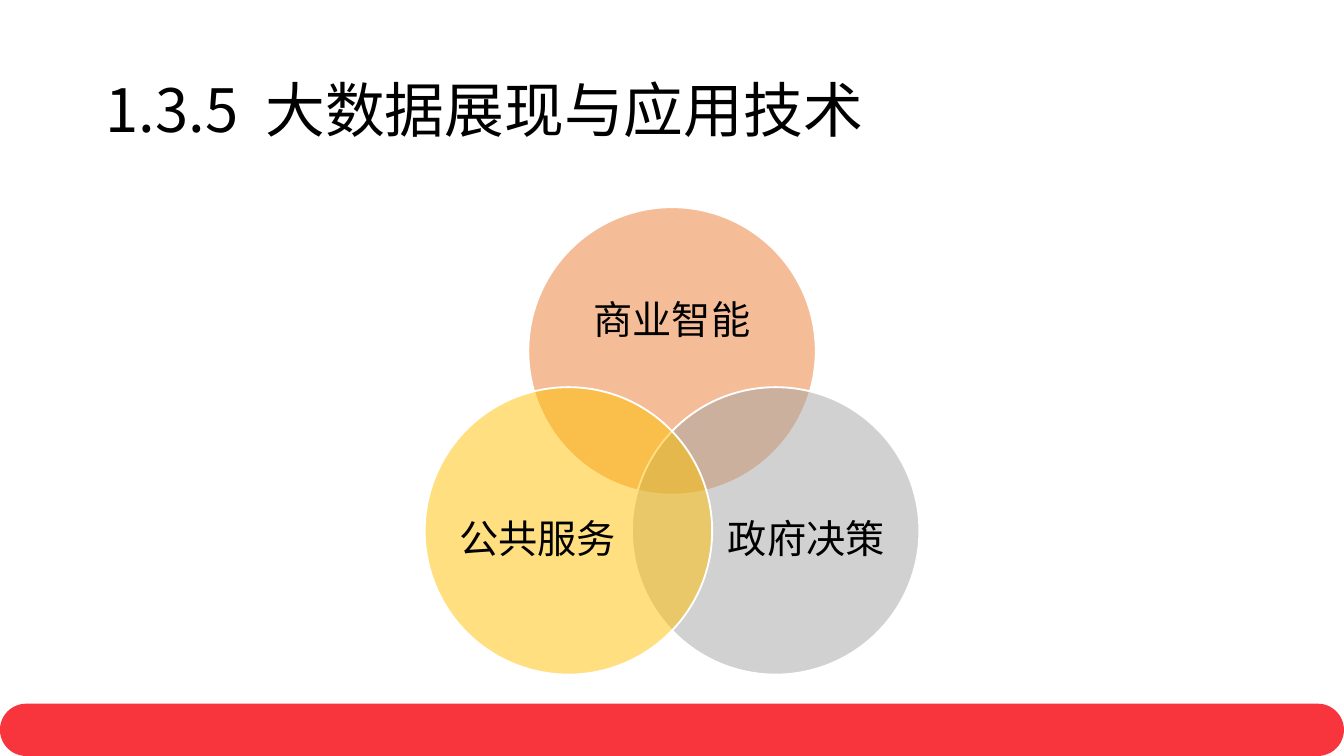
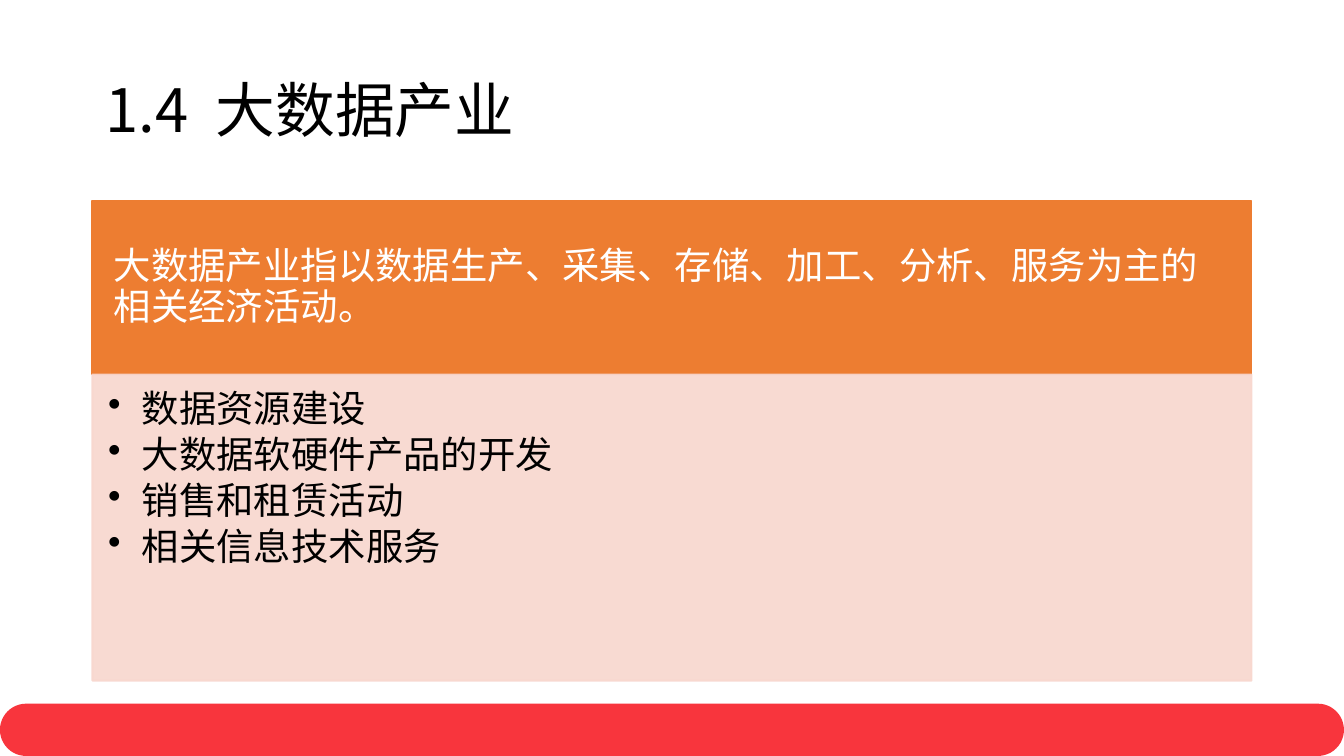
from dataclasses import dataclass

from lxml.etree import SubElement
from pptx import Presentation
from pptx.dml.color import RGBColor
from pptx.enum.shapes import MSO_SHAPE as Preset
from pptx.enum.text import MSO_ANCHOR as Anchor, MSO_AUTO_SIZE as AutoSize, PP_ALIGN as Align
from pptx.oxml.ns import qn
from pptx.util import Pt

# Shared look
FONT = "Noto Sans CJK SC"
BLACK = RGBColor(0x00, 0x00, 0x00)
WHITE = RGBColor(0xFF, 0xFF, 0xFF)
RED = RGBColor(0xF8, 0x35, 0x3D)
ORANGE = RGBColor(0xED, 0x7D, 0x31)
GREY = RGBColor(0xA5, 0xA5, 0xA5)
GOLD = RGBColor(0xFF, 0xC0, 0x00)
PINK = RGBColor(0xF8, 0xD7, 0xCE)

SLIDE_W, SLIDE_H = 720, 405
BAND_H = 28
MARGIN = 49.5
CONTENT_W = SLIDE_W - 2 * MARGIN


@dataclass(frozen=True)
class Box:
    left: float
    top: float
    width: float
    height: float

    def lengths(self) -> tuple:
        return Pt(self.left), Pt(self.top), Pt(self.width), Pt(self.height)


@dataclass(frozen=True)
class TextStyle:
    size: float
    color: RGBColor = BLACK
    align: Align = Align.LEFT
    anchor: Anchor = Anchor.MIDDLE
    space_after: float = 0
    insets: tuple = (0, 0, 0, 0)  # left, top, right, bottom
    bullet_indent: float = 0


@dataclass(frozen=True)
class Circle:
    topic: str
    center_x: float
    center_y: float
    color: RGBColor
    label: Box


TITLE_BOX = Box(MARGIN, 21.5, CONTENT_W, 78.5)
TITLE_STYLE = TextStyle(32, insets=(7.2, 3.6, 7.2, 3.6))
BAND_BOX = Box(0, SLIDE_H - BAND_H, SLIDE_W, BAND_H)


def set_opacity(color_format_parent, percent: int) -> None:
    for color in color_format_parent.iter(qn("a:srgbClr")):
        SubElement(color, qn("a:alpha"), val=str(percent * 1000))


def add_panel(slide, preset: Preset, box: Box, fill: RGBColor,
              line: RGBColor | None = None, opacity: int = 100,
              line_opacity: int = 100):
    panel = slide.shapes.add_shape(preset, *box.lengths())
    panel.shadow.inherit = False
    panel.fill.solid()
    panel.fill.fore_color.rgb = fill
    if opacity < 100:
        set_opacity(panel._element.spPr.find(qn("a:solidFill")), opacity)
    if line is None:
        panel.line.fill.background()
    else:
        panel.line.color.rgb = line
        panel.line.width = Pt(1)
        if line_opacity < 100:
            set_opacity(panel._element.spPr.find(qn("a:ln")), line_opacity)
    return panel


def add_bullet(paragraph, indent: float) -> None:
    props = paragraph._p.get_or_add_pPr()
    props.set("marL", str(Pt(indent)))
    props.set("indent", str(-Pt(indent)))
    SubElement(props, qn("a:buChar"), char="•")


def write_text(frame, lines: list[str], style: TextStyle) -> None:
    frame.word_wrap = True
    frame.auto_size = AutoSize.NONE
    frame.vertical_anchor = style.anchor
    (frame.margin_left, frame.margin_top,
     frame.margin_right, frame.margin_bottom) = map(Pt, style.insets)
    for index, line in enumerate(lines):
        paragraph = frame.add_paragraph() if index else frame.paragraphs[0]
        paragraph.alignment = style.align
        paragraph.line_spacing = 0.9
        paragraph.space_before = Pt(0)
        paragraph.space_after = Pt(style.space_after)
        if style.bullet_indent:
            add_bullet(paragraph, style.bullet_indent)
        run = paragraph.add_run()
        run.text = line
        run.font.size = Pt(style.size)
        run.font.color.rgb = style.color
        run.font.name = FONT
        SubElement(run._r.get_or_add_rPr(), qn("a:ea"), typeface=FONT)


def add_text(slide, box: Box, lines: list[str], style: TextStyle) -> None:
    write_text(slide.shapes.add_textbox(*box.lengths()).text_frame, lines, style)


def add_titled_slide(deck, heading: str):
    slide = deck.slides.add_slide(deck.slide_layouts.get_by_name("Title Only"))
    title = slide.shapes.title
    title.left, title.top, title.width, title.height = TITLE_BOX.lengths()
    write_text(title.text_frame, [heading], TITLE_STYLE)
    band = add_panel(slide, Preset.ROUNDED_RECTANGLE, BAND_BOX, RED)
    band.adjustments[0] = 0.5
    return slide


def build_applications(deck) -> None:
    slide = add_titled_slide(deck, "1.3.5  大数据展现与应用技术")
    label_style = TextStyle(21, align=Align.CENTER, space_after=7)

    # Three overlapping circles around the slide's vertical axis
    diameter, axis, spread = 154, SLIDE_W / 2, 55.5
    upper_y, lower_y = 188, 284.4
    label_w, label_h, label_top, label_shift = 92, 85, 247, 72
    circles = [
        Circle("商业智能", axis, upper_y, ORANGE, Box(axis - 56.5, 138, 113, 69)),
        Circle("政府决策", axis + spread, lower_y, GREY,
               Box(axis + label_shift - label_w / 2, label_top, label_w, label_h)),
        Circle("公共服务", axis - spread, lower_y, GOLD,
               Box(axis - label_shift - label_w / 2, label_top, label_w, label_h)),
    ]
    for circle in circles:
        outline = Box(circle.center_x - diameter / 2, circle.center_y - diameter / 2,
                      diameter, diameter)
        add_panel(slide, Preset.OVAL, outline, circle.color, WHITE, opacity=50)
        add_text(slide, circle.label, [circle.topic], label_style)


def build_industry(deck) -> None:
    slide = add_titled_slide(deck, "1.4  大数据产业")

    # Definition
    definition_box = Box(MARGIN, 107.7, CONTENT_W, 93)
    add_panel(slide, Preset.RECTANGLE, definition_box, ORANGE, ORANGE)
    add_text(slide, definition_box,
             ["大数据产业指以数据生产、采集、存储、加工、分析、服务为主的相关经济活动。"],
             TextStyle(20, WHITE, space_after=7, insets=(11.5, 6.5, 11.5, 6.5)))

    # Activities
    activities_box = Box(MARGIN, definition_box.top + definition_box.height, CONTENT_W, 164)
    add_panel(slide, Preset.RECTANGLE, activities_box, PINK, PINK,
              opacity=90, line_opacity=90)
    add_text(slide, activities_box,
             ["数据资源建设", "大数据软硬件产品的开发", "销售和租赁活动", "相关信息技术服务"],
             TextStyle(20, anchor=Anchor.TOP, space_after=3,
                       insets=(8.5, 8.5, 11.5, 12.5), bullet_indent=18))


def main() -> None:
    deck = Presentation()
    deck.slide_width, deck.slide_height = Pt(SLIDE_W), Pt(SLIDE_H)
    build_applications(deck)
    build_industry(deck)
    deck.save("out.pptx")


if __name__ == "__main__":
    main()
